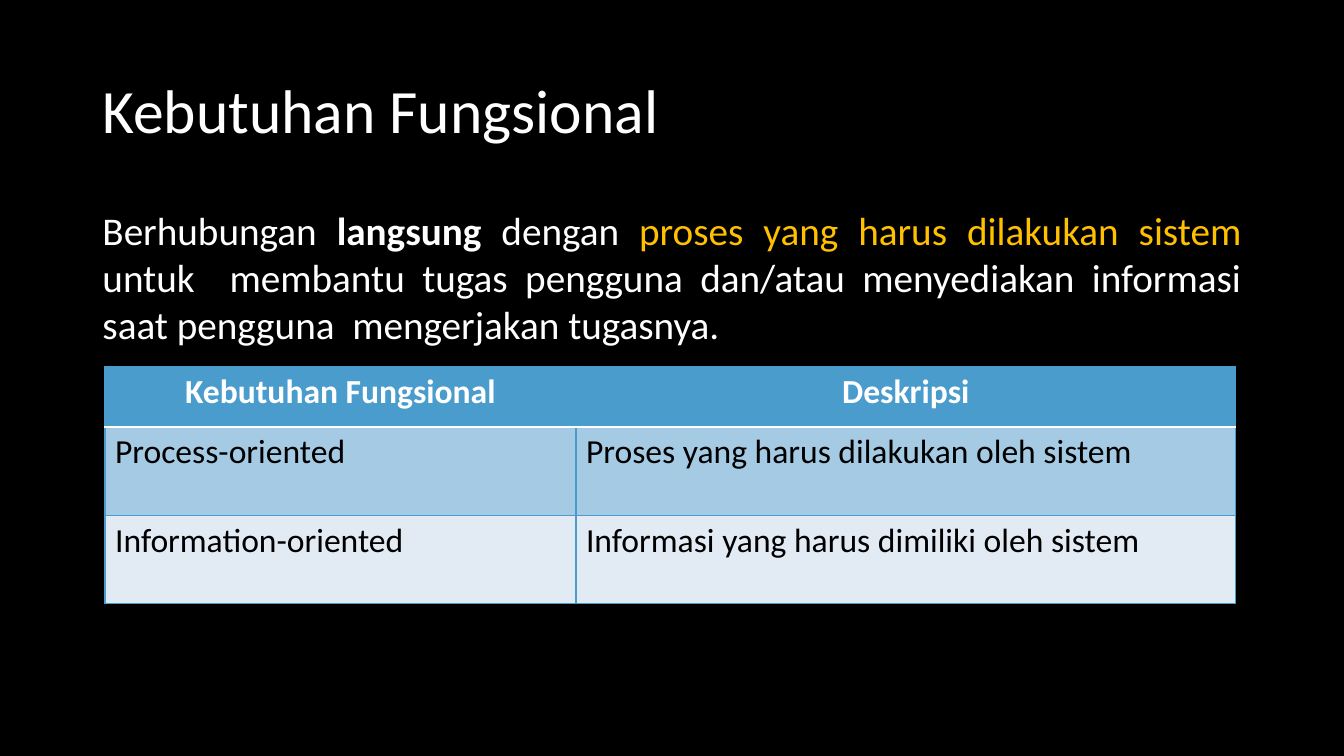
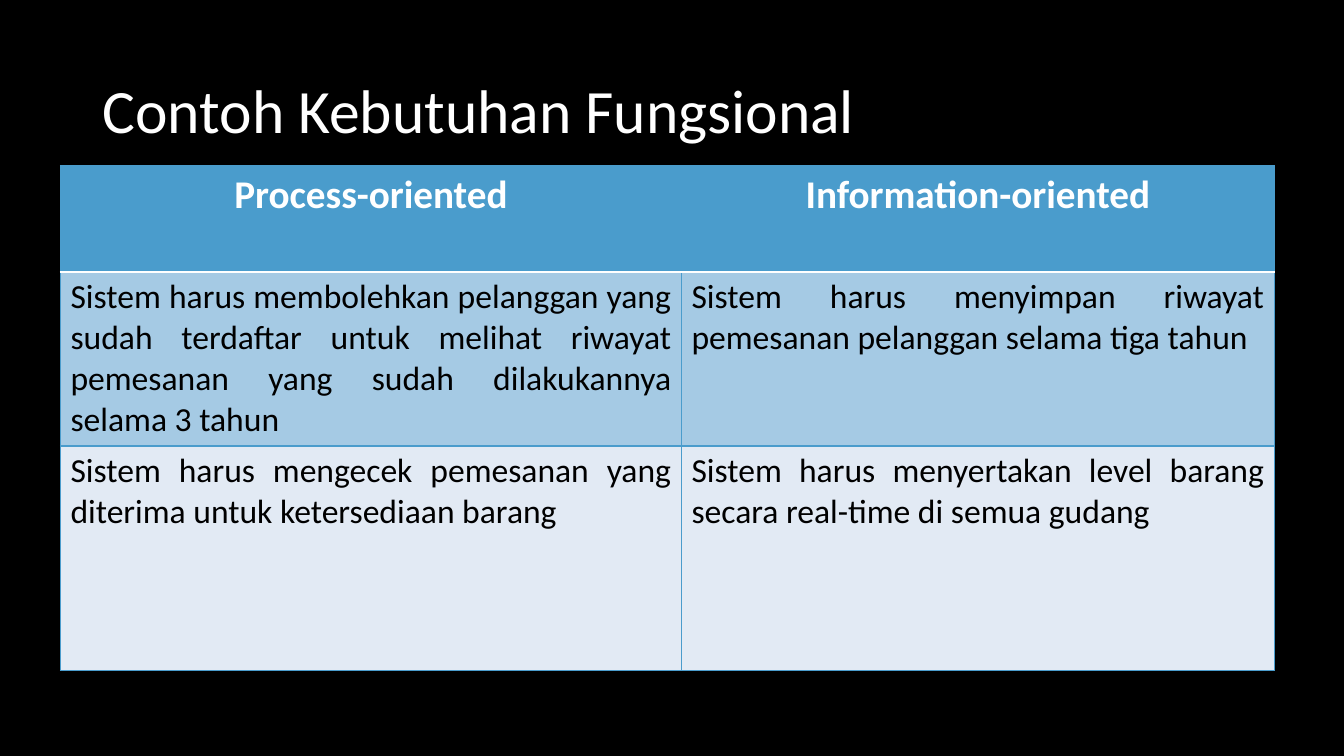
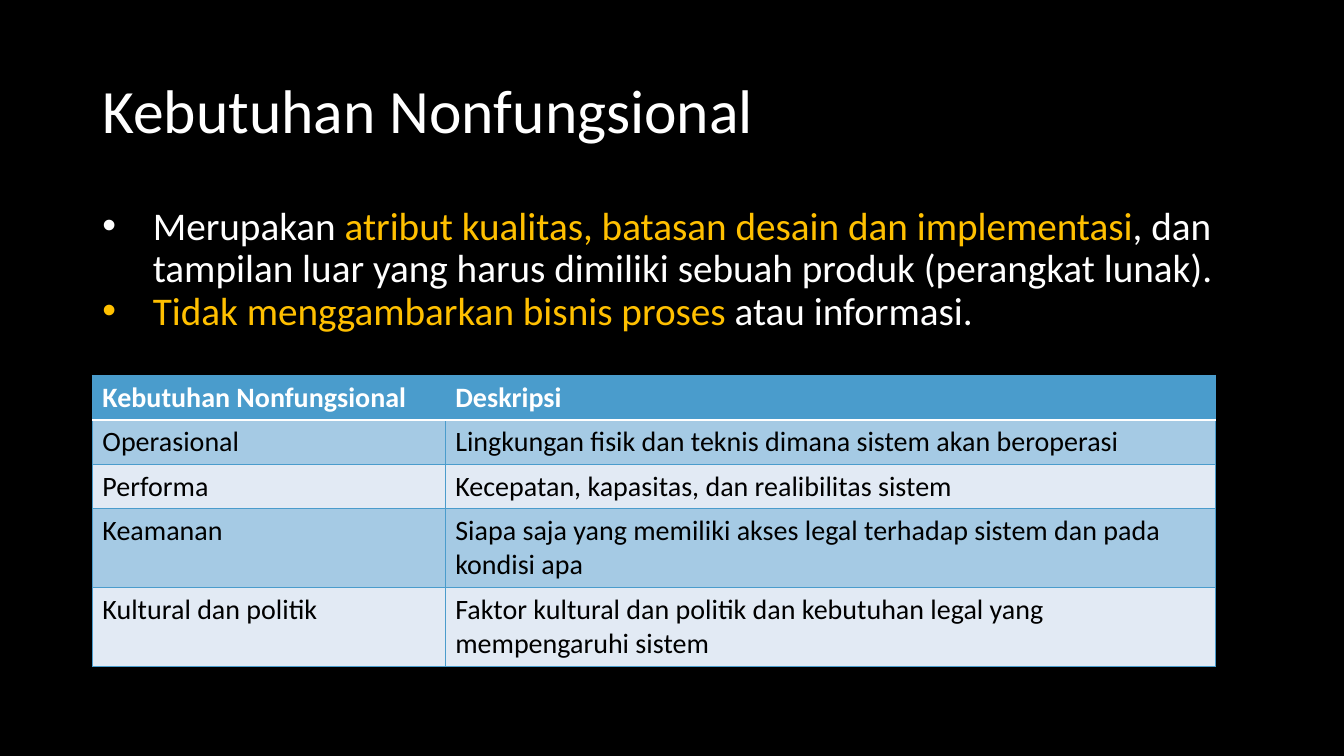
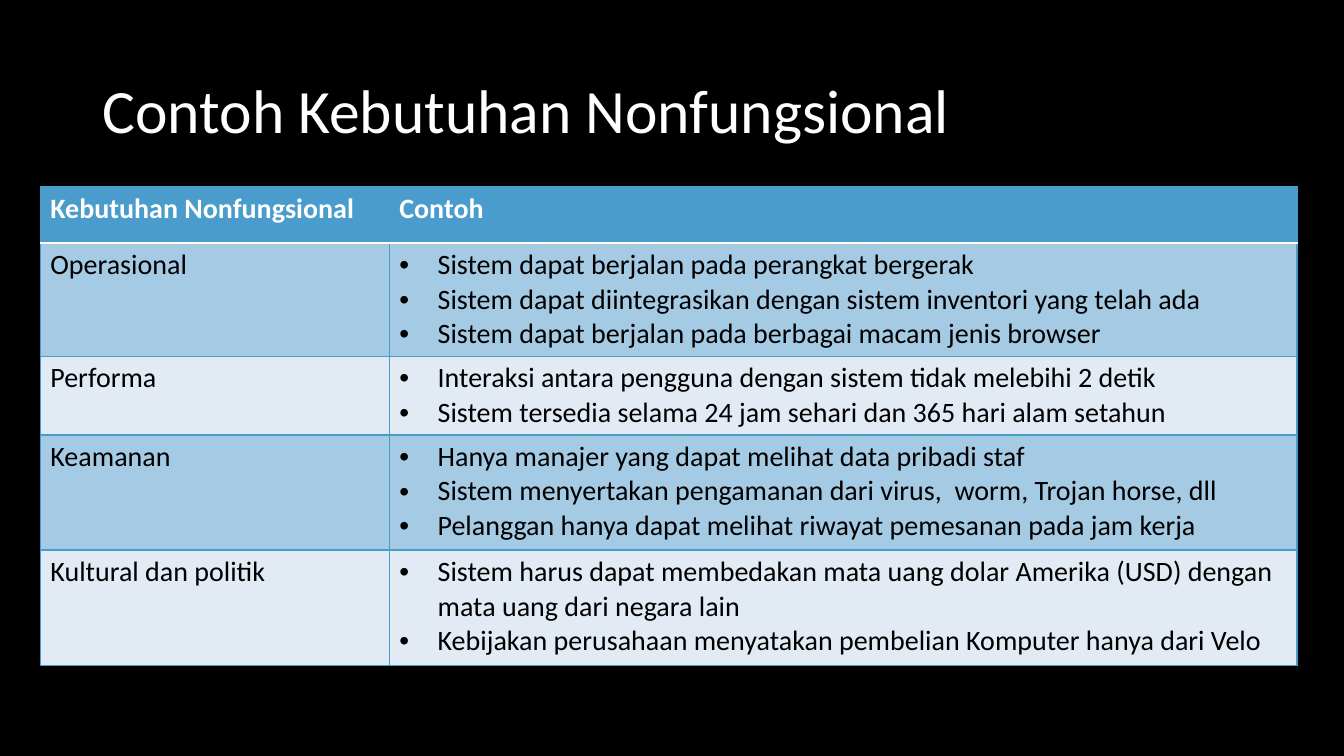
from lxml import etree
from pptx import Presentation
from pptx.dml.color import RGBColor
from pptx.enum.text import MSO_ANCHOR, MSO_AUTO_SIZE, PP_ALIGN
from pptx.oxml.ns import qn
from pptx.util import Inches, Pt

LEFT, CENTER, JUSTIFY = PP_ALIGN.LEFT, PP_ALIGN.CENTER, PP_ALIGN.JUSTIFY
MIDDLE, TOP = MSO_ANCHOR.MIDDLE, MSO_ANCHOR.TOP
NO_AUTOFIT = MSO_AUTO_SIZE.NONE

COLORS = {
    "background": "000000",
    "light": "FFFFFF",
    "dark": "000000",
    "highlight": "FFC000",
    "accent": "4A9CCC",
    "band": "A5CAE4",
    "pale": "E2EAF4",
}
FONT = "Calibri"
GRID_COLUMNS, GRID_ROWS = 160, 90
GRID_UNIT = Inches(1) / 12
TITLE_BOX = (11, 4.8, 138, 17.4)
TITLE_ONLY, TITLE_AND_BODY = 5, 1


def grid(units):
    return round(units * GRID_UNIT)


def place(shape, box):
    shape.left, shape.top, shape.width, shape.height = map(grid, box)


def format_runs(paragraph, size, color, bold=False):
    for run in paragraph.runs:
        font = run.font
        font.name, font.size, font.bold = FONT, Pt(size), bold
        font.color.rgb = RGBColor.from_string(COLORS[color])


def set_bullet(paragraph, indent):
    properties = paragraph._p.get_or_add_pPr()
    properties.set("marL", str(Inches(indent)))
    properties.set("indent", str(-Inches(indent)))
    if indent:
        etree.SubElement(properties, qn("a:buFont"), typeface="Arial")
        etree.SubElement(properties, qn("a:buChar"), char="•")
    else:
        etree.SubElement(properties, qn("a:buNone"))


def add_titled_slide(presentation, title, layout):
    slide = presentation.slides.add_slide(presentation.slide_layouts[layout])
    shape = slide.shapes.title
    place(shape, TITLE_BOX)
    frame = shape.text_frame
    frame.text = title
    frame.auto_size = NO_AUTOFIT
    frame.vertical_anchor = MIDDLE
    paragraph = frame.paragraphs[0]
    paragraph.alignment = LEFT
    paragraph.line_spacing = 0.9
    format_runs(paragraph, 44, "light")
    return slide


def fill_body(slide, box, paragraphs, alignment=LEFT, spacing=1.0, indent=0):
    body = slide.placeholders[1]
    place(body, box)
    frame = body.text_frame
    frame.auto_size = NO_AUTOFIT
    frame.vertical_anchor = TOP
    for index, parts in enumerate(paragraphs):
        paragraph = frame.add_paragraph() if index else frame.paragraphs[0]
        paragraph.alignment = alignment
        paragraph.line_spacing = spacing
        paragraph.space_before = Pt(0)
        set_bullet(paragraph, indent)
        for text, _, _ in parts:
            paragraph.add_run().text = text
        format_runs(paragraph, 28, "light")
        for run, (_, color, bold) in zip(paragraph.runs, parts):
            run.font.bold = bold
            run.font.color.rgb = RGBColor.from_string(COLORS[color])


def set_borders(cell, row):
    white_edge = {0: "lnB", 1: "lnT"}.get(row)
    properties = cell._tc.get_or_add_tcPr()
    for edge in ("lnL", "lnR", "lnT", "lnB"):
        color, width = ("light", 1.5) if edge == white_edge else ("accent", 1)
        line = etree.SubElement(properties, qn(f"a:{edge}"), w=str(Pt(width)))
        fill = etree.SubElement(line, qn("a:solidFill"))
        etree.SubElement(fill, qn("a:srgbClr"), val=COLORS[color])


def fill_cell(cell, row, content, size, alignment):
    set_borders(cell, row)
    fill_name = "accent" if row == 0 else "band" if row % 2 else "pale"
    cell.fill.solid()
    cell.fill.fore_color.rgb = RGBColor.from_string(COLORS[fill_name])
    bulleted = isinstance(content, list)
    cell.text_frame.text = "\n".join(content) if bulleted else content
    for paragraph in cell.text_frame.paragraphs:
        paragraph.alignment = alignment
        if bulleted:
            set_bullet(paragraph, 0.38)
        format_runs(paragraph, size, "dark" if row else "light", row == 0)


def add_banded_table(slide, box, column_shares, row_shares, rows, header_size,
                     body_size, header_alignment=LEFT, body_alignment=LEFT):
    frame = slide.shapes.add_table(len(rows), len(rows[0]), *map(grid, box))
    table = frame.table
    for column, share in zip(table.columns, column_shares):
        column.width = grid(box[2] * share / sum(column_shares))
    for row, share in zip(table.rows, row_shares):
        row.height = grid(box[3] * share / sum(row_shares))
    for row_index, contents in enumerate(rows):
        size, alignment = ((body_size, body_alignment) if row_index
                           else (header_size, header_alignment))
        for column_index, content in enumerate(contents):
            cell = table.cell(row_index, column_index)
            fill_cell(cell, row_index, content, size, alignment)


def build_functional(presentation):
    slide = add_titled_slide(presentation, "Kebutuhan Fungsional", TITLE_AND_BODY)
    fill_body(slide, (11, 24, 138, 18.2), [[
        ("Berhubungan ", "light", False),
        ("langsung ", "light", True),
        ("dengan ", "light", False),
        ("proses yang harus dilakukan sistem ", "highlight", False),
        ("untuk  membantu tugas pengguna dan/atau menyediakan informasi "
         "saat pengguna  mengerjakan tugasnya.", "light", False),
    ]], alignment=JUSTIFY)
    add_banded_table(slide, (12.5, 43.6, 134.6, 28.3), (4.67, 6.54), (0.6, 0.88, 0.88), [
        ("Kebutuhan Fungsional", "Deskripsi"),
        ("Process-oriented", "Proses yang harus dilakukan oleh sistem"),
        ("Information-oriented", "Informasi yang harus dimiliki oleh sistem"),
    ], 24, 24, header_alignment=CENTER)


def build_functional_examples(presentation):
    slide = add_titled_slide(presentation, "Contoh Kebutuhan Fungsional", TITLE_ONLY)
    add_banded_table(slide, (7.2, 19.75, 144.5, 60.1), (6.16, 5.88), (1.05, 1.73, 2.23), [
        ("Process-oriented", "Information-oriented"),
        ("Sistem harus membolehkan pelanggan yang sudah terdaftar untuk melihat "
         "riwayat pemesanan yang sudah dilakukannya selama 3 tahun",
         "Sistem harus menyimpan riwayat pemesanan pelanggan selama tiga tahun"),
        ("Sistem harus mengecek pemesanan yang diterima untuk ketersediaan barang",
         "Sistem harus menyertakan level barang secara real-time di semua gudang"),
    ], 28, 24, header_alignment=CENTER, body_alignment=JUSTIFY)


def build_nonfunctional(presentation):
    slide = add_titled_slide(presentation, "Kebutuhan Nonfungsional", TITLE_AND_BODY)
    fill_body(slide, (11, 24, 138, 19), [
        [("Merupakan ", "light", False),
         ("atribut kualitas, batasan desain dan implementasi", "highlight", False),
         (", dan tampilan luar yang harus dimiliki sebuah produk (perangkat lunak).",
          "light", False)],
        [("Tidak menggambarkan bisnis proses ", "highlight", False),
         ("atau informasi.", "light", False)],
    ], spacing=0.9, indent=0.5)
    add_banded_table(slide, (11, 44.7, 133.7, 34.6), (3.5, 7.64),
                     (0.44, 0.44, 0.44, 0.78, 0.78), [
        ("Kebutuhan Nonfungsional", "Deskripsi"),
        ("Operasional", "Lingkungan fisik dan teknis dimana sistem akan beroperasi"),
        ("Performa", "Kecepatan, kapasitas, dan realibilitas sistem"),
        ("Keamanan", "Siapa saja yang memiliki akses legal terhadap sistem dan "
                     "pada kondisi apa"),
        ("Kultural dan politik", "Faktor kultural dan politik dan kebutuhan legal yang "
                                 "mempengaruhi sistem"),
    ], 20, 20)


def build_nonfunctional_examples(presentation):
    slide = add_titled_slide(presentation, "Contoh Kebutuhan Nonfungsional", TITLE_ONLY)
    add_banded_table(slide, (4.8, 22.2, 149.6, 57), (3.46, 9),
                     (0.56, 1.12, 0.78, 1.14, 1.14), [
        ("Kebutuhan Nonfungsional", "Contoh"),
        ("Operasional", [
            "Sistem dapat berjalan pada perangkat bergerak",
            "Sistem dapat diintegrasikan dengan sistem inventori yang telah ada",
            "Sistem dapat berjalan pada berbagai macam jenis browser",
        ]),
        ("Performa", [
            "Interaksi antara pengguna dengan sistem tidak melebihi 2 detik",
            "Sistem tersedia selama 24 jam sehari dan 365 hari alam setahun",
        ]),
        ("Keamanan", [
            "Hanya manajer yang dapat melihat data pribadi staf",
            "Sistem menyertakan pengamanan dari virus,  worm, Trojan horse, dll",
            "Pelanggan hanya dapat melihat riwayat pemesanan pada jam kerja",
        ]),
        ("Kultural dan politik", [
            "Sistem harus dapat membedakan mata uang dolar Amerika (USD) dengan "
            "mata uang dari negara lain",
            "Kebijakan perusahaan menyatakan pembelian Komputer hanya dari Velo",
        ]),
    ], 20, 20)


def main():
    presentation = Presentation()
    presentation.slide_width = grid(GRID_COLUMNS)
    presentation.slide_height = grid(GRID_ROWS)
    background = presentation.slide_master.background.fill
    background.solid()
    background.fore_color.rgb = RGBColor.from_string(COLORS["background"])
    build_functional(presentation)
    build_functional_examples(presentation)
    build_nonfunctional(presentation)
    build_nonfunctional_examples(presentation)
    presentation.save("out.pptx")


if __name__ == "__main__":
    main()
